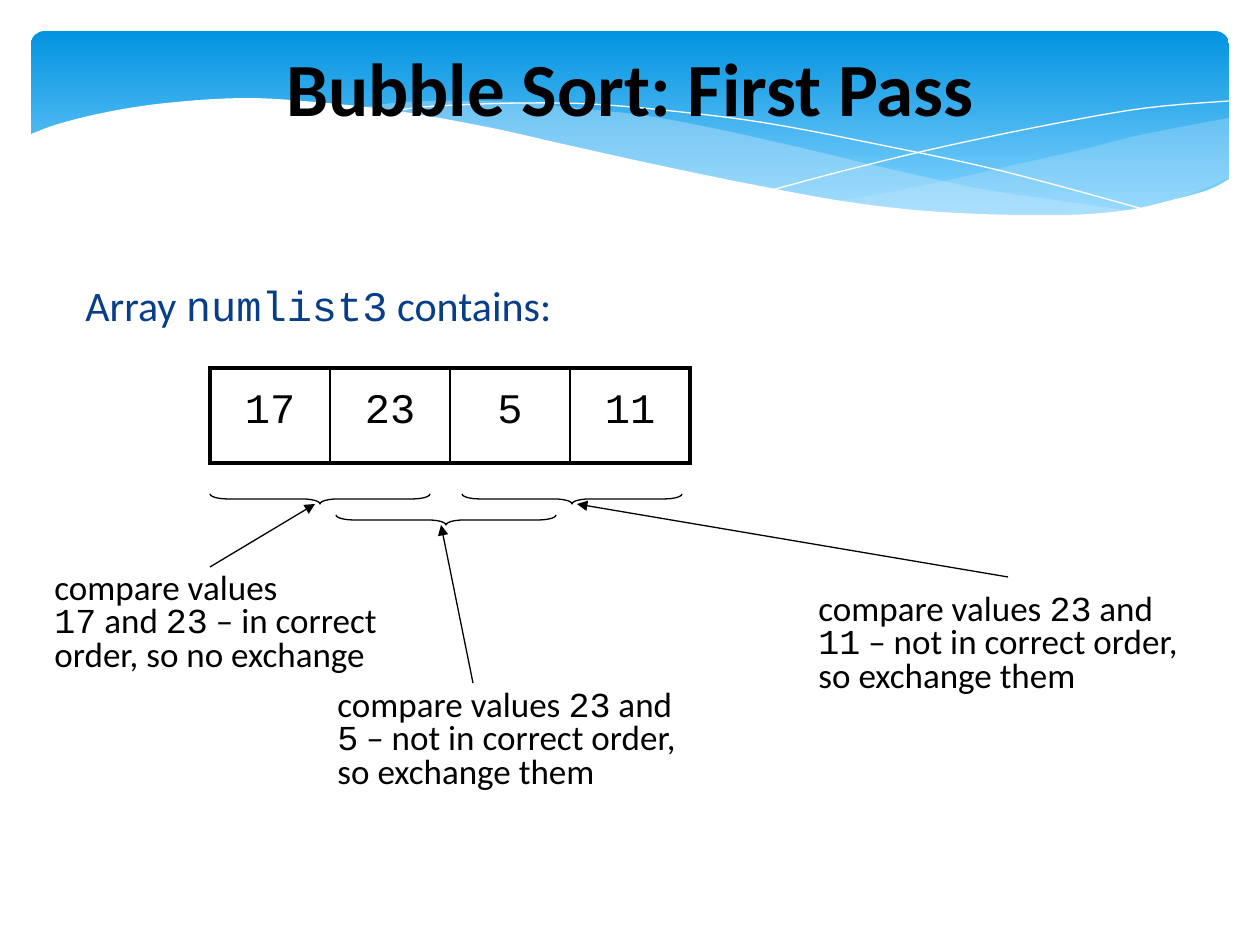
import pptx
import pptx.chart.data
import pptx.dml.color
import pptx.enum.shapes
import pptx.enum.text
import pptx.oxml
import pptx.oxml.ns
import pptx.util
from dataclasses import dataclass

PX_PER_INCH = 126
EMU_PER_PX = 914400 / PX_PER_INCH
SHAPE = pptx.enum.shapes.MSO_SHAPE
ALIGN = pptx.enum.text.PP_ALIGN
ANCHOR = pptx.enum.text.MSO_ANCHOR


@dataclass(frozen=True)
class Theme:
    ink: str = "000000"
    white: str = "FFFFFF"
    heading: str = "073E87"
    sky_top: str = "0293E0"
    sky_bottom: str = "83D3FE"
    ribbon: str = "C6E7FC"
    font: str = "Calibri"
    code_font: str = "Courier New"
    title_size: float = 42.9
    body_size: float = 24
    note_size: float = 20
    thin: float = 0.75
    inner_border: float = 1
    outer_border: float = 2.25


THEME = Theme()

# Knots of the header curves, in px
HILL_RIGHT = [(1229, 118), (1160, 131), (1123, 139), (1085, 149), (1014, 165),
              (949, 180), (890, 192), (833, 202)]
HILL_RIGHT_BASE = [(833, 202), (905, 210), (983, 215), (1044, 217), (1099, 215),
                   (1150, 207), (1196, 192), (1229, 178)]
RIBBON_TOP = [(1125, 210), (1055, 200), (976, 188), (890, 169), (793, 146),
              (717, 129), (648, 116), (586, 109), (529, 103), (479, 101),
              (433, 101), (394, 103), (360, 108)]
RIBBON_BASE = [(360, 108), (431, 118), (509, 134), (566, 146), (668, 170),
               (757, 189), (838, 203), (909, 211), (973, 216), (1030, 218),
               (1080, 217), (1125, 210)]
FALLING_LINE = [(389, 113), (413, 108), (457, 105), (524, 103), (591, 104),
                (672, 111), (766, 123), (876, 144), (1002, 171), (1143, 209)]
RISING_LINE = [(772, 190), (847, 170), (942, 147), (1053, 124), (1146, 108),
               (1229, 101)]
WHITE_WAVE = [(29, 135), (58, 124), (107, 112), (166, 103), (243, 98), (315, 102),
              (398, 111), (492, 128), (563, 144), (667, 167), (760, 186),
              (842, 201), (915, 210), (981, 214), (1037, 215), (1089, 214),
              (1134, 209), (1172, 200), (1208, 190), (1231, 178)]
WHITE_WAVE_BASE = [(1231, 282), (29, 282)]


def px(length):
    return pptx.util.Emu(round(length * EMU_PER_PX))


def rgb(color):
    return pptx.dml.color.RGBColor.from_string(color)


def smooth(knots, steps=5):
    """Points of a Catmull-Rom curve through the knots."""
    padded = [knots[0], *knots, knots[-1]]
    points = [knots[0]]
    for a, b, c, d in zip(padded, padded[1:], padded[2:], padded[3:]):
        for step in range(1, steps + 1):
            t = step / steps
            points.append(tuple(
                (2 * q + (r - p) * t + (2 * p - 5 * q + 4 * r - s) * t ** 2
                 + (3 * q - p - 3 * r + s) * t ** 3) / 2
                for p, q, r, s in zip(a, b, c, d)))
    return points


def write(frame, text, size=THEME.note_size, color=THEME.ink, bold=False,
          align=ALIGN.LEFT, anchor=ANCHOR.TOP, spacing=None, before=0):
    """Fill a text frame; parts between backticks take the code font."""
    frame.word_wrap = True
    frame.vertical_anchor = anchor
    for index, line in enumerate(text.split("\n")):
        paragraph = frame.paragraphs[0] if index == 0 else frame.add_paragraph()
        paragraph.alignment = align
        paragraph.line_spacing = spacing
        paragraph.space_before = pptx.util.Pt(before)
        for part, words in enumerate(line.split("`")):
            if not words:
                continue
            run = paragraph.add_run()
            run.text = words
            run.font.name = THEME.code_font if part % 2 else THEME.font
            run.font.size = pptx.util.Pt(size)
            run.font.bold = bold
            run.font.color.rgb = rgb(color)


def add_text(slide, left, top, width, height, text, **style):
    box = slide.shapes.add_textbox(px(left), px(top), px(width), px(height))
    write(box.text_frame, text, **style)


def add_curve(slide, points, fill=None, opacity=100):
    """A filled outline, or an open white hairline when there is no fill."""
    points = [(px(x), px(y)) for x, y in points]
    builder = slide.shapes.build_freeform(*points[0], scale=1.0)
    builder.add_line_segments(points[1:], close=fill is not None)
    curve = builder.convert_to_shape()
    curve.shadow.inherit = False
    if fill is None:
        curve.fill.background()
        curve.line.color.rgb = rgb(THEME.white)
        curve.line.width = 0
        return
    curve.fill.solid()
    curve.fill.fore_color.rgb = rgb(fill)
    curve.line.fill.background()
    if opacity < 100:
        color = curve.element.spPr.find(".//" + pptx.oxml.ns.qn("a:srgbClr"))
        alpha = pptx.oxml.parse_xml(
            f'<a:alpha {pptx.oxml.ns.nsdecls("a")} val="{opacity * 1000}"/>')
        color.append(alpha)


def add_header(slide):
    sky = slide.shapes.add_shape(SHAPE.ROUNDED_RECTANGLE,
                                 px(31), px(31), px(1198), px(197))
    sky.adjustments[0] = 0.07
    sky.shadow.inherit = False
    sky.line.fill.background()
    sky.fill.gradient()
    sky.fill.gradient_angle = 270
    stops = [(0, THEME.sky_top), (0.9, THEME.sky_bottom)]
    for stop, (position, color) in zip(sky.fill.gradient_stops, stops):
        stop.position = position
        stop.color.rgb = rgb(color)
    add_curve(slide, smooth(HILL_RIGHT) + smooth(HILL_RIGHT_BASE), THEME.ribbon, 29)
    add_curve(slide, smooth(RIBBON_TOP) + smooth(RIBBON_BASE), THEME.ribbon, 40)
    add_curve(slide, smooth(FALLING_LINE))
    add_curve(slide, smooth(RISING_LINE))
    add_curve(slide, smooth(WHITE_WAVE) + WHITE_WAVE_BASE, THEME.white)


def set_borders(cell, widths):
    """Draw left, right, top and bottom borders of the given widths."""
    properties = cell._tc.get_or_add_tcPr()
    for index, (side, width) in enumerate(zip("LRTB", widths)):
        properties.insert(index, pptx.oxml.parse_xml(
            f'<a:ln{side} {pptx.oxml.ns.nsdecls("a")} w="{pptx.util.Pt(width)}">'
            f'<a:solidFill><a:srgbClr val="{THEME.ink}"/></a:solidFill></a:ln{side}>'))


def add_array(slide, left, top, cell_width, height, values):
    table = slide.shapes.add_table(1, len(values), px(left), px(top),
                                   px(cell_width * len(values)), px(height)).table
    table.first_row = table.horz_banding = False
    inner, outer = THEME.inner_border, THEME.outer_border
    for index, value in enumerate(values):
        table.columns[index].width = px(cell_width)
        cell = table.cell(0, index)
        cell.fill.background()
        write(cell.text_frame, f"`{value}`", size=THEME.body_size,
              align=ALIGN.CENTER, spacing=1.3)
        set_borders(cell, (outer if index == 0 else inner,
                           outer if index == len(values) - 1 else inner,
                           outer, outer))


def add_brace(slide, left, top, span=220, depth=10):
    """A brace lying on its side, with its point down."""
    brace = slide.shapes.add_shape(
        SHAPE.RIGHT_BRACE, px(left + (span - depth) / 2),
        px(top + (depth - span) / 2), px(depth), px(span))
    brace.rotation = 90
    brace.adjustments[0] = 1.75
    brace.shadow.inherit = False
    brace.fill.background()
    brace.line.color.rgb = rgb(THEME.ink)
    brace.line.width = pptx.util.Pt(THEME.thin)


def add_arrow(slide, start, end):
    arrow = slide.shapes.add_connector(pptx.enum.shapes.MSO_CONNECTOR.STRAIGHT,
                                       *map(px, start + end))
    arrow.line.color.rgb = rgb(THEME.ink)
    arrow.line.width = pptx.util.Pt(THEME.thin)
    namespace = pptx.oxml.ns.nsdecls("a")
    arrow.line._get_or_add_ln().append(
        pptx.oxml.parse_xml(f'<a:tailEnd {namespace} type="triangle"/>'))
    arrow.element.spPr.append(pptx.oxml.parse_xml(f"<a:effectLst {namespace}/>"))


def add_comparison(slide, brace, arrow, note, text):
    add_brace(slide, *brace)
    add_arrow(slide, *arrow)
    add_text(slide, *note, text, spacing=0.8)


def set_title(slide, text):
    title = slide.shapes.title
    title.left, title.top, title.width, title.height = map(px, (0, 0, 1260, 173))
    write(title.text_frame, text, size=THEME.title_size, bold=True,
          align=ALIGN.CENTER, anchor=ANCHOR.MIDDLE)
    slide.shapes.element.append(title.element)  # in front of the header


def main():
    deck = pptx.Presentation()
    deck.slide_width, deck.slide_height = px(1260), px(945)
    slide = deck.slides.add_slide(deck.slide_layouts[5])
    add_header(slide)
    add_text(slide, 73, 273, 1144, 60, "Array `numlist3` contains:",
             size=THEME.body_size, color=THEME.heading, before=4.8)
    add_array(slide, 210, 368, 120, 95, (17, 23, 5, 11))
    add_comparison(slide, (210, 494), ((210, 567), (315, 504)), (42, 567, 374, 113),
                   "compare values\n`17` and `23` – in correct\norder, so no exchange")
    add_comparison(slide, (336, 515), ((473, 683), (441, 525)), (325, 684, 398, 113),
                   "compare values `23` and\n`5` – not in correct order,\nso exchange them")
    add_comparison(slide, (462, 494), ((1008, 577), (577, 504)), (806, 588, 410, 113),
                   "compare values `23` and\n`11` – not in correct order,\nso exchange them")
    set_title(slide, "Bubble Sort: First Pass")
    deck.save("out.pptx")


if __name__ == "__main__":
    main()
